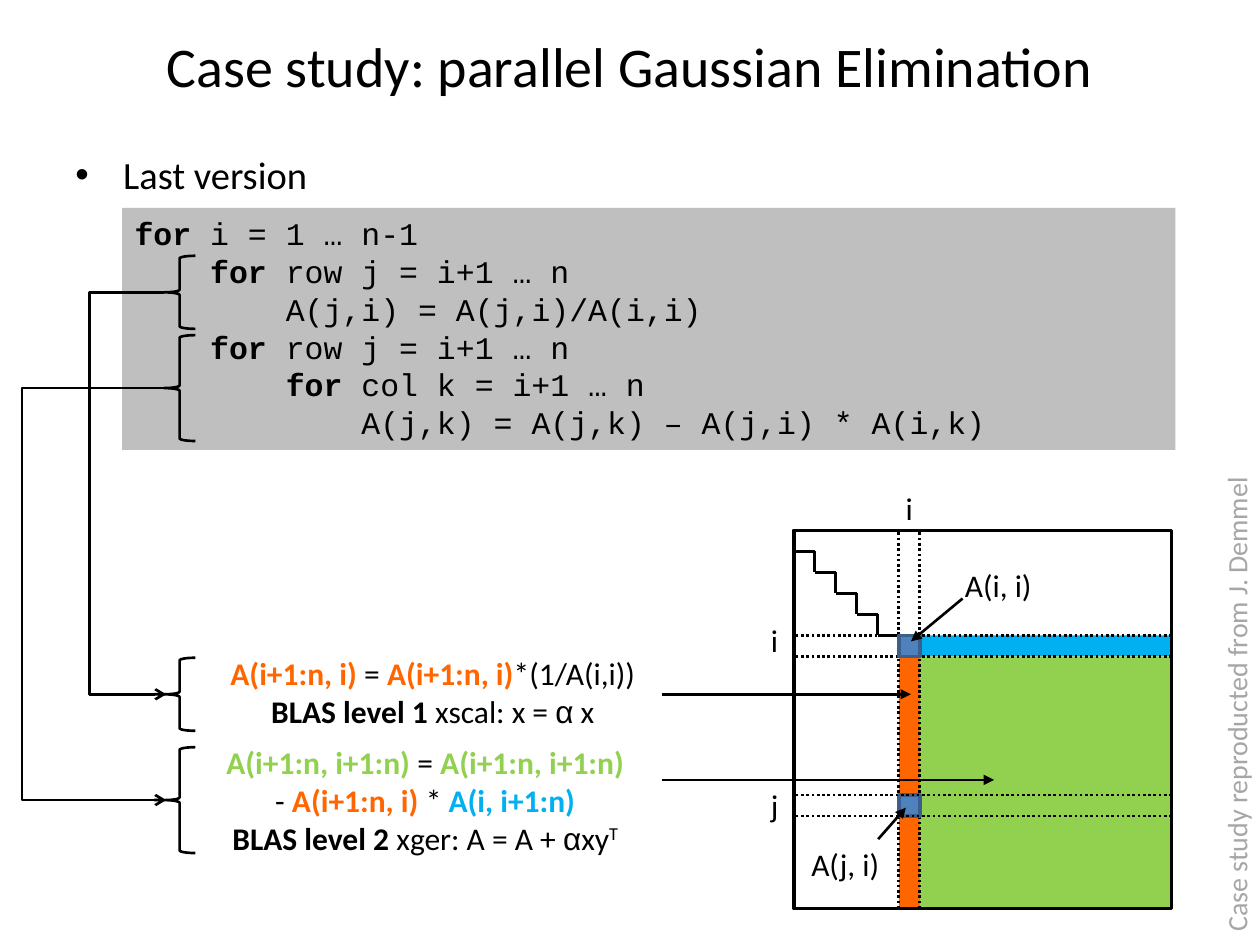
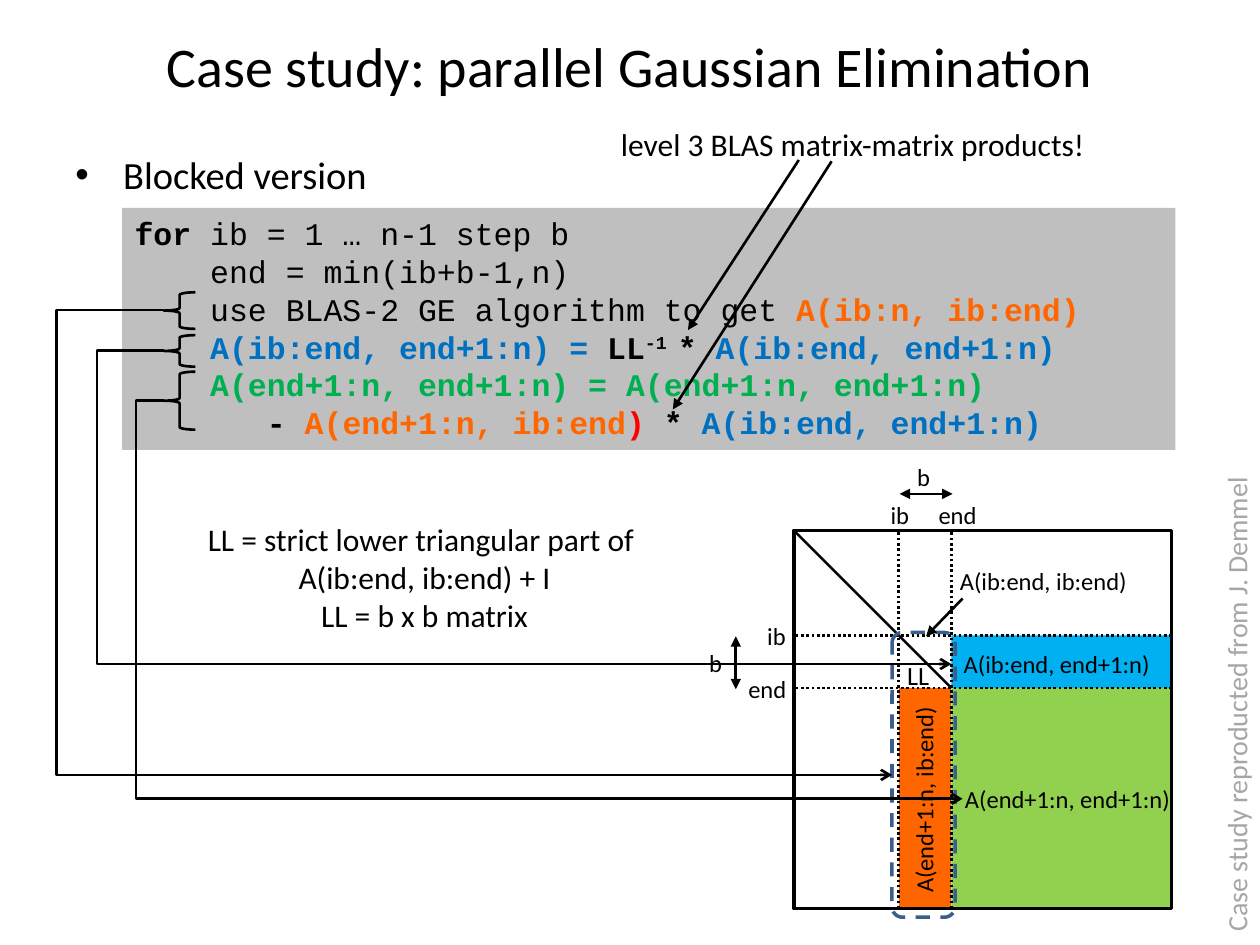
from lxml import etree
from pptx import Presentation
from pptx.dml.color import RGBColor
from pptx.enum import dml, shapes, text
from pptx.oxml import ns
from pptx.util import Inches, Pt

BLACK, GREY, CODE_FILL = "000000", "A6A6A6", "BFBFBF"
ORANGE, SKY, LIME = "FF6600", "00B0F0", "92D050"
BLUE, GREEN, RED = "0070C0", "00B050", "FF0000"
PIVOT_FILL, PIVOT_LINE = "4F81BD", "3A5F8C"
BODY_FONT, CODE_FONT, GREEK_FONT = "Calibri", "Courier New", "Arial"

TITLE = "Case study: parallel Gaussian Elimination"
CREDIT = "Case study reproducted from J. Demmel"

# The matrix is a square of 18 by 18 cells; (column, row) count from its corner.
MATRIX_LEFT, MATRIX_TOP, MATRIX_SIDE, CELLS = 6.3, 4.21, 3, 18
PIVOT, NEXT, ROW_J, BLOCK_END = 5, 6, 12.6, 7.5
BRACE_LEFT, BRACE_WIDTH = 1.3, 0.25


def run(words, color=BLACK, bold=False, font=None, raised=False):
    return {"words": words, "color": color, "bold": bold, "font": font, "raised": raised}


def strong(words, color=BLACK, raised=False):
    return run(words, color, True, raised=raised)


LAST_CODE = [
    [strong("for "), run("i = 1 … n-1")],
    [run("    "), strong("for"), run(" row j = i+1 … n")],
    [run("        A(j,i) = A(j,i)/A(i,i)")],
    [run("    "), strong("for "), run("row j = i+1 … n")],
    [run("        "), strong("for"), run(" col k = i+1 … n")],
    [run("            A(j,k) = A(j,k) – A(j,i) * A(i,k)")],
]
SCALE_STEP = [
    [strong("A(i+1:n, i)", ORANGE), run(" = "), strong("A(i+1:n, i)", ORANGE),
     run("*(1/A(i,i))")],
    [strong("BLAS level 1 "), run("xscal: x = "), run("α", font=GREEK_FONT), run(" x")],
]
UPDATE_STEP = [
    [strong("A(i+1:n, i+1:n)", LIME), run(" = "), strong("A(i+1:n, i+1:n)", LIME)],
    [run("- "), strong("A(i+1:n, i)", ORANGE), run(" * "), strong("A(i, i+1:n)", SKY)],
    [strong("BLAS level 2 "), run("xger: A = A + "), run("α", font=GREEK_FONT),
     run("xy"), run("T", raised=True)],
]
BLOCKED_CODE = [
    [strong("for "), run("ib = 1 … n-1 step b")],
    [run("    end = min(ib+b-1,n)")],
    [run("    use BLAS-2 GE algorithm to get "), strong("A(ib:n, ib:end)", ORANGE)],
    [run("    "), strong("A(ib:end, end+1:n) = ", BLUE), strong("LL"),
     strong("-1 ", raised=True), strong("*"), strong(" A(ib:end, end+1:n)", BLUE)],
    [run("    "), strong("A(end+1:n, end+1:n) = A(end+1:n, end+1:n)", GREEN)],
    [strong("       "), strong("- "), strong("A(end+1:n, ib:end", ORANGE),
     strong(") ", RED), strong("* "), strong("A(ib:end, end+1:n)", BLUE)],
]
LL_NOTE = [
    [run("LL = strict lower triangular part of ")],
    [run("A(ib:end, ib:end) + I")],
    [run("LL = b x b matrix")],
]

# Labels: words, (left, top, width, height), size, rotation
LAST_LABELS = [
    ("i", (7.09, 3.83, 0.26, 0.4), 18, 0),
    ("i", (6.02, 4.88, 0.26, 0.4), 18, 0),
    ("j", (6.02, 6.19, 0.26, 0.4), 18, 0),
    ("A(i, i)", (7.56, 4.44, 0.74, 0.4), 18, 0),
    ("A(j, i)", (6.34, 6.66, 0.75, 0.4), 18, 0),
]
BLOCKED_LABELS = [
    ("ib", (6.97, 3.92, 0.35, 0.34), 14, 0),
    ("end", (7.35, 3.92, 0.51, 0.34), 14, 0),
    ("b", (7.18, 3.62, 0.31, 0.34), 14, 0),
    ("ib", (5.99, 4.88, 0.35, 0.34), 14, 0),
    ("end", (5.84, 5.3, 0.51, 0.34), 14, 0),
    ("b", (5.53, 5.09, 0.31, 0.34), 14, 0),
    ("A(ib:end, ib:end)", (7.52, 4.44, 1.54, 0.34), 14, 0),
    ("A(ib:end, end+1:n)", (7.55, 5.1, 1.69, 0.34), 14, 0),
    ("LL", (7.1, 5.18, 0.38, 0.35), 15, 0),
    ("A(end+1:n, end+1:n)", (7.56, 6.17, 1.85, 0.34), 14, 0),
    ("A(end+1:n, ib:end)", (6.49, 6.17, 1.69, 0.34), 14, 270),
    ("level 3 BLAS matrix-matrix products!", (4.83, 0.94, 3.98, 0.4), 18, 0),
]

# Arrows: start, end
LAST_ARROWS = [
    ((7.64, 4.75), (7.23, 5.09)),
    ((6.97, 6.66), (7.19, 6.41)),
    ((5.25, 6.19), (7.89, 6.19)),
    ((5.25, 5.51), (7.23, 5.51)),
]
BLOCKED_ARROWS = [
    ((7.64, 4.75), (7.35, 5.05)),
    ((6.34, 1.27), (5.46, 2.62)),
    ((6.6, 1.28), (5.34, 3.25)),
]
BLOCK_SIZES = [((7.14, 3.92), (7.56, 3.92)), ((5.84, 5.05), (5.84, 5.47))]

# Braces: top, height
LAST_BRACES = [(2.03, 0.58), (2.66, 0.84), (5.22, 0.58), (5.93, 0.84)]
BLOCKED_BRACES = [(2.32, 0.29), (2.66, 0.25), (2.95, 0.46)]

# Links from a brace: start height, end, x of the vertical lane
LAST_LINKS = [(2.32, (1.32, 5.51), 0.71), (3.08, (1.32, 6.35), 0.18)]
BLOCKED_LINKS = [
    (2.46, (7.08, 6.15), 0.45),
    (2.78, (7.55, 5.27), 0.77),
    (3.18, (7.64, 6.34), 1.08),
]


def rgb(color):
    return RGBColor.from_string(color)


def cell(column, row):
    """Place of a matrix grid point on the slide, in inches."""
    step = MATRIX_SIDE / CELLS
    return MATRIX_LEFT + column * step, MATRIX_TOP + row * step


def add_text(slide, place, paragraphs, size=18, font=BODY_FONT, align=None,
             wrap=False, rotation=0):
    box = slide.shapes.add_textbox(*map(Inches, place))
    box.rotation = rotation
    frame = box.text_frame
    frame.word_wrap = wrap
    frame.auto_size = text.MSO_AUTO_SIZE.SHAPE_TO_FIT_TEXT
    for index, runs in enumerate(paragraphs):
        paragraph = frame.paragraphs[0] if index == 0 else frame.add_paragraph()
        paragraph.alignment = align
        for item in runs:
            piece = paragraph.add_run()
            piece.text = item["words"]
            piece.font.size = Pt(size)
            piece.font.name = item["font"] or font
            piece.font.bold = item["bold"]
            piece.font.color.rgb = rgb(item["color"])
            if item["raised"]:
                piece.font._element.set("baseline", "30000")
    return box


def add_outline(slide, kind, place, fill=None, line=None, width=2):
    shape = slide.shapes.add_shape(kind, *map(Inches, place))
    shape.shadow.inherit = False
    if fill:
        shape.fill.solid()
        shape.fill.fore_color.rgb = rgb(fill)
    else:
        shape.fill.background()
    if line:
        shape.line.color.rgb = rgb(line)
        shape.line.width = Pt(width)
    else:
        shape.line.fill.background()
    return shape


def add_region(slide, start, end, fill=None, line=None):
    """Rectangle between two grid points of the matrix."""
    (left, top), (right, bottom) = cell(*start), cell(*end)
    return add_outline(slide, shapes.MSO_SHAPE.RECTANGLE,
                       (left, top, right - left, bottom - top), fill, line)


def add_line(slide, start, end, dotted=False, head=None, tail=None, lane=None):
    """Line or arrow; with a lane it turns at that x."""
    kind = shapes.MSO_CONNECTOR.STRAIGHT if lane is None else shapes.MSO_CONNECTOR.ELBOW
    connector = slide.shapes.add_connector(kind, *map(Inches, (*start, *end)))
    connector.line.color.rgb = rgb(BLACK)
    connector.line.width = Pt(1.5)
    if dotted:
        connector.line.dash_style = dml.MSO_LINE.ROUND_DOT
    properties = connector._element.spPr
    outline = properties.find(ns.qn("a:ln"))
    for tag, arrow in (("a:headEnd", head), ("a:tailEnd", tail)):
        if arrow:
            etree.SubElement(outline, ns.qn(tag), type=arrow)
    if lane is not None:
        turn = round((lane - start[0]) / (end[0] - start[0]) * 100000)
        guides = properties.find(".//" + ns.qn("a:avLst"))
        etree.SubElement(guides, ns.qn("a:gd"), name="adj1", fmla=f"val {turn}")
    etree.SubElement(properties, ns.qn("a:effectLst"))


def add_guides(slide, columns, rows):
    for row in rows:
        add_line(slide, cell(CELLS, row), cell(0, row), dotted=True)
    for column in columns:
        add_line(slide, cell(column, CELLS), cell(column, 0), dotted=True)


def add_matrix(slide, end):
    """Matrix frame with the active row, column and rest coloured."""
    add_region(slide, (end, PIVOT), (CELLS, end), SKY)
    add_region(slide, (PIVOT, end), (end, CELLS), ORANGE)
    add_region(slide, (end, end), (CELLS, CELLS), LIME)
    add_region(slide, (0, 0), (CELLS, CELLS), line=BLACK)
    add_guides(slide, (PIVOT, end), (PIVOT, end))


def add_frame(presentation, heading, code):
    slide = presentation.slides.add_slide(presentation.slide_layouts[6])
    title = add_text(slide, (0.5, 0.17, 9, 0.7), [[run(TITLE)]], 32,
                     align=text.PP_ALIGN.CENTER, wrap=True)
    title.text_frame.vertical_anchor = text.MSO_ANCHOR.MIDDLE
    body = add_text(slide, (0.5, 1.15, 9, 0.57), [[run(heading)]], 22, wrap=True)
    for box in (title, body):
        box.text_frame.auto_size = text.MSO_AUTO_SIZE.NONE
    paragraph = body.text_frame.paragraphs[0]
    paragraph.space_before = Pt(4.4)
    bullet = paragraph._p.get_or_add_pPr()
    bullet.set("marL", str(Inches(0.38)))
    bullet.set("indent", str(-Inches(0.38)))
    etree.SubElement(bullet, ns.qn("a:buFont"), typeface="Arial")
    etree.SubElement(bullet, ns.qn("a:buChar"), char="•")
    panel = add_text(slide, (0.97, 1.65, 8.36, 1.92), code, font=CODE_FONT, wrap=True)
    panel.fill.solid()
    panel.fill.fore_color.rgb = rgb(CODE_FILL)
    add_text(slide, (7.83, 5.32, 3.97, 0.37), [[run(CREDIT, GREY)]], 16, rotation=270)
    return slide


def add_annotations(slide, labels, arrows, braces, links):
    for words, place, size, rotation in labels:
        add_text(slide, place, [[run(words)]], size, rotation=rotation)
    for top, height in braces:
        brace = add_outline(slide, shapes.MSO_SHAPE.RIGHT_BRACE,
                            (BRACE_LEFT, top, BRACE_WIDTH, height), line=BLACK, width=1.5)
        brace.rotation = 180
    for height, end, lane in links:
        add_line(slide, (BRACE_LEFT, height), end, tail="arrow", lane=lane)
    for start, end in arrows:
        add_line(slide, start, end, tail="triangle")


def build_last_version(presentation):
    slide = add_frame(presentation, "Last version", LAST_CODE)
    add_matrix(slide, NEXT)
    for step in range(PIVOT):
        corner = cell(step + 1, step + 1)
        add_line(slide, cell(step, step + 1), corner)
        add_line(slide, corner, cell(step + 1, step + 2))
    for row in (PIVOT, ROW_J):
        add_region(slide, (PIVOT, row), (NEXT, row + 1), PIVOT_FILL, PIVOT_LINE)
    add_guides(slide, (), (ROW_J, ROW_J + 1))
    center = text.PP_ALIGN.CENTER
    add_text(slide, (1.71, 5.14, 3.45, 0.71), SCALE_STEP, align=center)
    add_text(slide, (1.68, 5.85, 3.39, 1.01), UPDATE_STEP, align=center)
    add_annotations(slide, LAST_LABELS, LAST_ARROWS, LAST_BRACES, LAST_LINKS)


def build_blocked_version(presentation):
    slide = add_frame(presentation, "Blocked version", BLOCKED_CODE)
    add_matrix(slide, BLOCK_END)
    add_line(slide, cell(0, 0), cell(BLOCK_END, BLOCK_END))
    panel = add_outline(slide, shapes.MSO_SHAPE.ROUNDED_RECTANGLE,
                        (7.08, 5.02, 0.5, 2.26), line=PIVOT_LINE)
    panel.line.dash_style = dml.MSO_LINE.DASH
    add_text(slide, (1.07, 4.08, 4.6, 1.01), LL_NOTE, align=text.PP_ALIGN.CENTER, wrap=True)
    for start, end in BLOCK_SIZES:
        add_line(slide, start, end, head="triangle", tail="triangle")
    add_annotations(slide, BLOCKED_LABELS, BLOCKED_ARROWS, BLOCKED_BRACES, BLOCKED_LINKS)


def main():
    presentation = Presentation()
    presentation.slide_width, presentation.slide_height = Inches(10), Inches(7.5)
    build_last_version(presentation)
    build_blocked_version(presentation)
    presentation.save("out.pptx")


if __name__ == "__main__":
    main()
